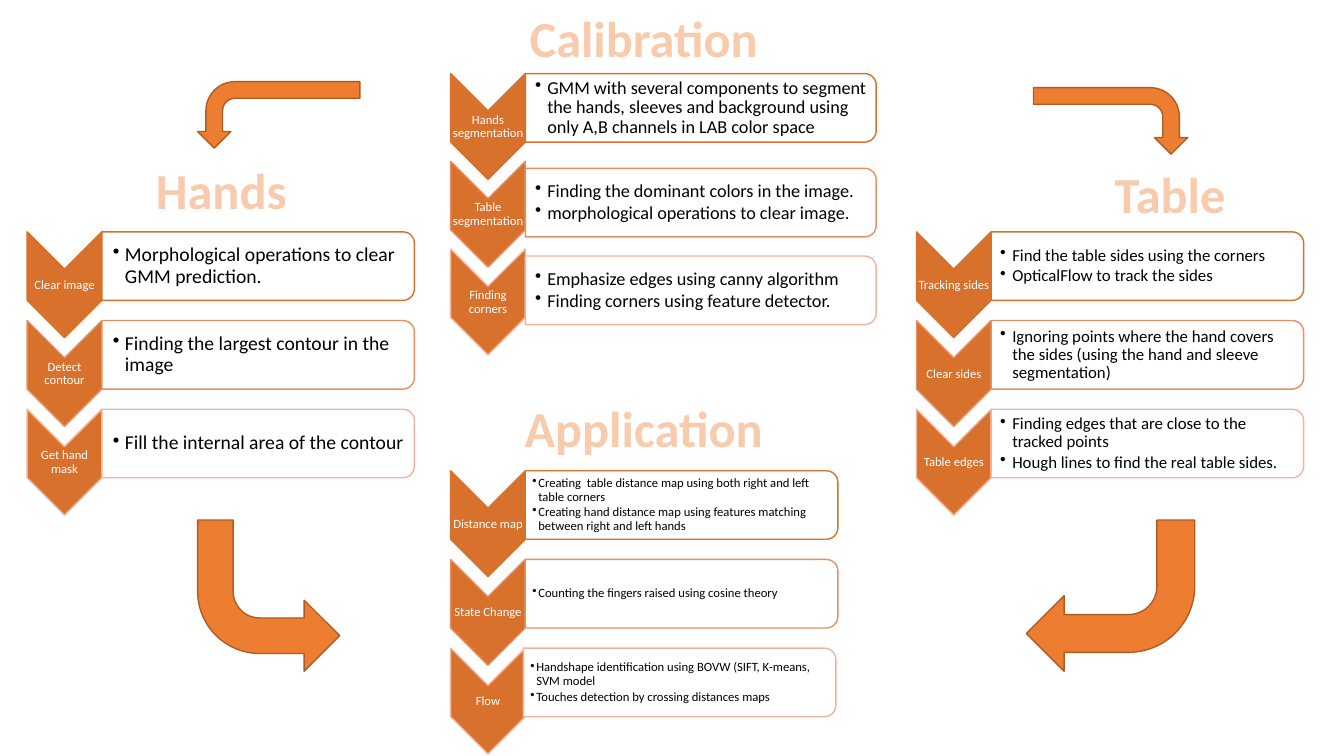
import pptx
import pptx.util
import pptx.dml.color
import pptx.enum.shapes
import pptx.enum.text
import pptx.oxml.ns
import lxml.etree

Inches, Pt = pptx.util.Inches, pptx.util.Pt
SHAPE = pptx.enum.shapes.MSO_SHAPE
ALIGN = pptx.enum.text.PP_ALIGN
ANCHOR = pptx.enum.text.MSO_ANCHOR
qn = pptx.oxml.ns.qn

STEP_FILL = "D7712C"
STEP_LINES = ["D7712C", "E78F62", "F3B39B"]
STEP_WIDTH, STEP_HEIGHT, BODY_HEIGHT = 0.74, 1.05, 0.68


def colour(hex_text):
    return pptx.dml.color.RGBColor.from_string(hex_text)


def paint(shape, fill, line):
    shape.shadow.inherit = False
    shape.fill.solid()
    shape.fill.fore_color.rgb = colour(fill)
    shape.line.color.rgb = colour(line)
    shape.line.width = Pt(1)


def add_turned(shapes, kind, box, rotation=0, flip=""):
    """Place a shape so that, once turned, it covers the given box."""
    left, top, width, height = box
    if rotation == 90:
        left, top = left + (width - height) / 2, top + (height - width) / 2
        width, height = height, width
    shape = shapes.add_shape(kind, Inches(left), Inches(top), Inches(width), Inches(height))
    shape.rotation = rotation
    frame = shape._element.spPr.find(qn("a:xfrm"))
    for axis in flip:
        frame.set("flip" + axis, "1")
    return shape


def add_text(shapes, box, lines, size, ink, inset):
    frame = shapes.add_textbox(*map(Inches, box)).text_frame
    frame.word_wrap = True
    frame.vertical_anchor = ANCHOR.MIDDLE
    frame.margin_left = Inches(inset)
    frame.margin_right = frame.margin_top = frame.margin_bottom = Inches(0.01)
    for index, line in enumerate(lines):
        para = frame.paragraphs[0] if index == 0 else frame.add_paragraph()
        para.text = line
        para.line_spacing = 0.9
        para.font.name, para.font.size = "Calibri", Pt(size)
        para.font.color.rgb = colour(ink)
    return frame.paragraphs


def add_bullets(shapes, box, lines, size, inset, indent):
    for para in add_text(shapes, box, lines, size, "000000", inset):
        para.level = 1
        para.space_after = Pt(round(0.15 * size, 1))
        props = para._p.get_or_add_pPr()
        props.set("marL", str(Inches(indent)))
        props.set("indent", str(-Inches(indent)))
        bullet = lxml.etree.Element(qn("a:buChar"), char="•")
        props.find(qn("a:defRPr")).addprevious(bullet)


def add_flow(page, left, top, steps, size, inset, body_width=3.1, pitch=0.88,
             indent=0.12, nudges=((0, 0),) * 3):
    """Column of chevrons, each with a rounded body to its right."""
    shapes = page.shapes.add_group_shape().shapes
    for index, (label, lines) in enumerate(steps):
        line = STEP_LINES[index]
        step_top = top + index * pitch
        # Chevron and its label
        chevron = add_turned(shapes, SHAPE.CHEVRON,
                             (left, step_top, STEP_WIDTH, STEP_HEIGHT), 90)
        paint(chevron, STEP_FILL, line)
        label_box = (left, step_top + 0.37, STEP_WIDTH, 0.32)
        add_text(shapes, label_box, [label], 9, "FFFFFF", 0.01)[0].alignment = ALIGN.CENTER
        # Body and its bullets
        body_left = left + STEP_WIDTH + nudges[index][0]
        body_top = step_top + nudges[index][1]
        body = add_turned(shapes, SHAPE.ROUND_2_SAME_RECTANGLE,
                          (body_left, body_top, body_width, BODY_HEIGHT), 90)
        paint(body, "FFFFFF", line)
        tint = body._element.spPr.find(qn("a:solidFill"))[0]
        lxml.etree.SubElement(tint, qn("a:alpha"), val="90000")
        add_bullets(shapes, (body_left, body_top + 0.03, body_width - 0.04, 0.62),
                    lines, size, inset, indent)


def format_heading(shape, left, top, text):
    shape.left, shape.top, shape.width, shape.height = map(Inches, (left, top, 3.31, 0.71))
    frame = shape.text_frame
    frame.word_wrap = True
    frame.auto_size = pptx.enum.text.MSO_AUTO_SIZE.NONE
    frame.vertical_anchor = ANCHOR.TOP
    para = frame.paragraphs[0]
    para.alignment = ALIGN.CENTER
    span = para.add_run()
    span.text = text
    span.font.name, span.font.size, span.font.bold = "Calibri", Pt(36), True
    span.font.color.rgb = colour("F8CBAD")
    outline = lxml.etree.Element(qn("a:ln"), w=str(Pt(1.75)))
    solid = lxml.etree.SubElement(outline, qn("a:solidFill"))
    lxml.etree.SubElement(solid, qn("a:srgbClr"), val="ED7D31")
    span._r.get_or_add_rPr().insert(0, outline)


def add_arrows(page):
    arrows = [
        ((1.96, 5.16, 1.41, 1.5), 0, "V"),
        ((10.18, 5.16, 1.67, 1.5), 0, "HV"),
        ((10.25, 0.87, 1.53, 0.66), 90, ""),
        ((1.96, 0.81, 1.61, 0.66), 90, "V"),
    ]
    for box, rotation, flip in arrows:
        paint(add_turned(page.shapes, SHAPE.BENT_ARROW, box, rotation, flip),
              "ED7D31", "AF5C24")


hands_steps = [
    ("Clear image", ["Morphological operations to clear GMM prediction."]),
    ("Detect contour", ["Finding the largest contour in the image"]),
    ("Get hand mask", ["Fill the internal area of the contour"]),
]
table_steps = [
    ("Tracking sides", ["Find the table sides using the corners",
                        "OpticalFlow to track the sides"]),
    ("Clear sides", ["Ignoring points where the hand covers  the sides "
                     "(using the hand and sleeve segmentation)"]),
    ("Table edges", ["Finding edges that are close to the tracked points",
                     "Hough lines to find the real table sides."]),
]
application_steps = [
    ("Distance map", ["Creating  table distance map using both right and left table corners",
                      "Creating hand distance map using features matching "
                      "between right and left hands"]),
    ("State Change", ["Counting the fingers raised using cosine theory"]),
    ("Flow", ["Handshape identification using BOVW (SIFT, K-means, SVM model",
              "Touches detection by crossing distances maps"]),
]
calibration_steps = [
    ("Hands segmentation", ["GMM with several components to segment the hands, sleeves and "
                            "background using only A,B channels in LAB color space"]),
    ("Table segmentation", ["Finding the dominant colors in the image.",
                            "morphological operations to clear image."]),
    ("Finding corners", ["Emphasize edges using canny algorithm",
                         "Finding corners using feature detector."]),
]

deck = pptx.Presentation()
deck.slide_width, deck.slide_height = Inches(13.33), Inches(7.5)
page = deck.slides.add_slide(deck.slide_layouts[5])

# Four flows
add_flow(page, 0.27, 2.3, hands_steps, 14, 0.11)
add_flow(page, 9.09, 2.3, table_steps, 12, 0.09)
add_flow(page, 4.47, 4.67, application_steps, 9, 0.07, indent=0.06,
         nudges=((0, 0), (0, 0), (-0.02, 0)))
add_flow(page, 4.47, 0.73, calibration_steps, 13, 0.1, body_width=3.48, pitch=0.87,
         nudges=((0, 0), (0, 0.07), (0, 0.07)))

# Headings
format_heading(page.shapes.title, 4.73, 0.02, "Calibration")
for left, top, text in [(0.54, 1.53, "Hands"), (4.73, 3.89, "Application"),
                        (9.95, 1.57, "Table")]:
    format_heading(page.shapes.add_textbox(0, 0, 0, 0), left, top, text)

add_arrows(page)
deck.save("out.pptx")
